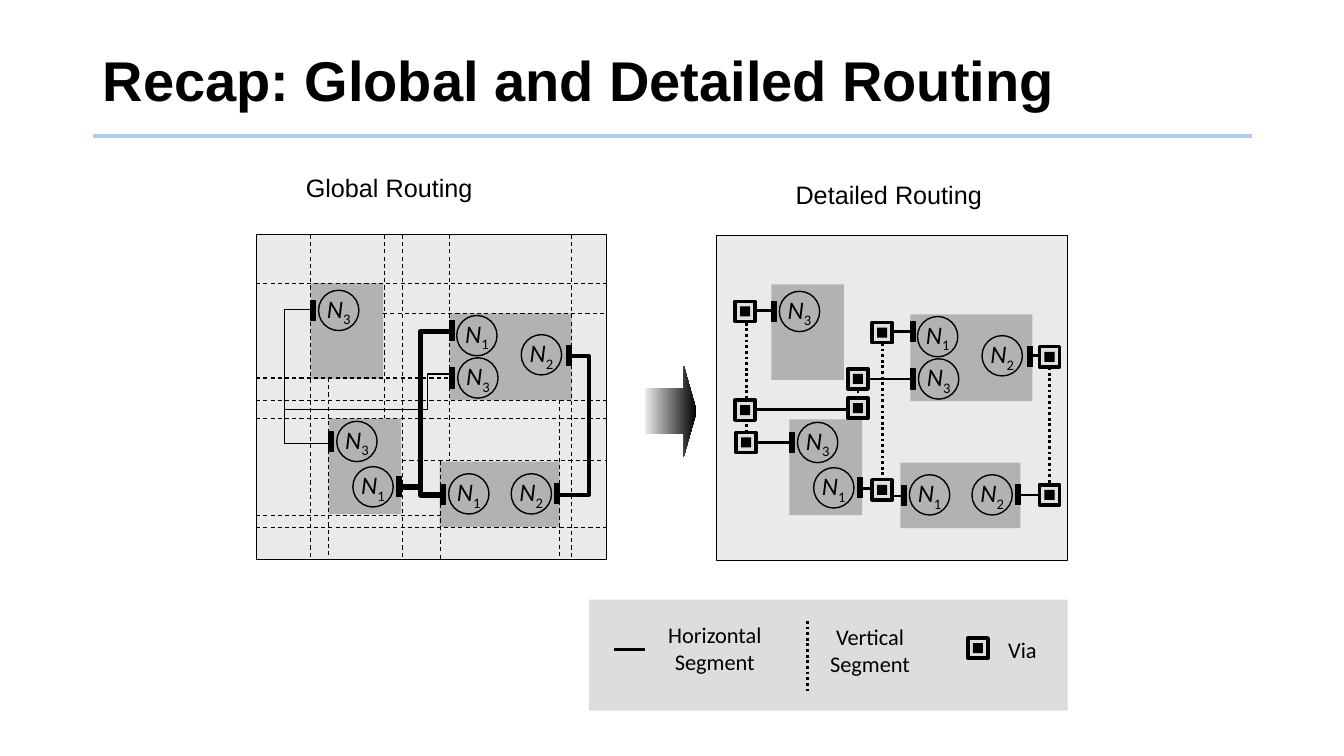
from lxml import etree
from pptx import Presentation
from pptx.dml.color import RGBColor
from pptx.enum.dml import MSO_LINE
from pptx.enum.shapes import MSO_CONNECTOR, MSO_SHAPE
from pptx.enum.text import MSO_ANCHOR, PP_ALIGN
from pptx.oxml.ns import qn
from pptx.util import Inches, Pt

BLACK = RGBColor(0x00, 0x00, 0x00)
RULE_BLUE = RGBColor(0xAD, 0xCD, 0xEA)
PANEL_GRAY = RGBColor(0xEA, 0xEA, 0xEA)
BLOCK_GRAY = RGBColor(0xB2, 0xB2, 0xB2)
VIA_GRAY = RGBColor(0xDF, 0xDF, 0xDF)
LEGEND_GRAY = RGBColor(0xDD, 0xDD, 0xDD)

RECTANGLE, CIRCLE, ARROW = MSO_SHAPE.RECTANGLE, MSO_SHAPE.OVAL, MSO_SHAPE.RIGHT_ARROW
STRAIGHT = MSO_CONNECTOR.STRAIGHT
DASH, DOTS = MSO_LINE.DASH, MSO_LINE.ROUND_DOT
LEFT, CENTER = PP_ALIGN.LEFT, PP_ALIGN.CENTER
TOP, MIDDLE = MSO_ANCHOR.TOP, MSO_ANCHOR.MIDDLE

PANEL_LEFT, PANEL_TOP, PANEL_WIDTH, PANEL_HEIGHT = 2.54, 2.33, 3.48, 3.22
PANEL_RIGHT, PANEL_BOTTOM = PANEL_LEFT + PANEL_WIDTH, PANEL_TOP + PANEL_HEIGHT
DETAILED_OFFSET = (4.57, 0.01)
BLOCKS = [(3.08, 2.81, 0.72, 0.95), (3.26, 4.15, 0.72, 0.95),
          (4.46, 3.11, 1.21, 0.86), (4.36, 4.58, 1.19, 0.65)]
PINS = [(3.08, 2.98), (3.26, 4.28), (3.93, 4.73), (4.46, 3.65),
        (4.46, 3.18), (5.62, 3.43), (5.5, 4.8), (4.37, 4.81)]
NETS = [("3", 3.16, 2.88), ("3", 3.34, 4.18), ("1", 3.5, 4.63), ("2", 5.07, 4.7),
        ("1", 4.45, 4.7), ("3", 4.54, 3.55), ("1", 4.53, 3.13), ("2", 5.17, 3.32)]
HORIZONTAL_CUTS = [(2.81, PANEL_LEFT, PANEL_RIGHT), (3.11, 3.8, PANEL_RIGHT),
                   (3.75, PANEL_LEFT, 4.46), (3.97, PANEL_LEFT, PANEL_RIGHT),
                   (4.15, PANEL_LEFT, PANEL_RIGHT), (4.57, 3.99, PANEL_RIGHT),
                   (5.11, PANEL_LEFT, 4.37), (5.23, PANEL_LEFT, PANEL_RIGHT)]
VERTICAL_CUTS = [(3.08, PANEL_TOP, PANEL_BOTTOM), (3.26, 3.75, PANEL_BOTTOM),
                 (3.81, PANEL_TOP, 4.15), (3.99, PANEL_TOP, PANEL_BOTTOM),
                 (4.37, 4.57, PANEL_BOTTOM), (4.46, PANEL_TOP, 4.57),
                 (5.55, 3.97, PANEL_BOTTOM), (5.67, PANEL_TOP, PANEL_BOTTOM)]
GLOBAL_ROUTES = [
    (1, [(3.1, 3.07), (2.82, 3.07), (2.82, 4.4), (3.28, 4.4)]),
    (4, [(3.96, 4.83), (4.17, 4.83), (4.17, 3.29), (4.49, 3.29)]),
    (4, [(4.17, 4.83), (4.17, 4.91), (4.39, 4.91)]),
    (1, [(4.46, 3.71), (4.24, 3.71), (4.24, 4.06), (2.82, 4.06)]),
    (2.5, [(5.53, 4.91), (5.84, 4.91), (5.84, 3.53), (5.64, 3.53)])]
HORIZONTAL_SEGMENTS = [(3.08, 7.39, 7.67), (4.39, 7.4, 7.86), (4.06, 7.39, 8.51),
                       (3.76, 8.49, 9.07), (4.85, 8.52, 8.74), (3.29, 8.75, 9.05),
                       (3.53, 10.21, 10.4), (4.91, 10.09, 10.38)]
VERTICAL_SEGMENTS = [(7.4, 3.09, 4.42), (8.51, 3.76, 4.06),
                     (8.75, 3.29, 4.86), (10.41, 3.53, 4.91)]
VIAS = [(7.29, 2.99), (7.3, 4.29), (7.29, 3.97), (8.41, 3.95), (8.41, 3.66),
        (8.65, 4.76), (8.65, 3.2), (10.31, 4.81), (10.31, 3.44)]


def style_shape(shape, fill, line_width):
    """Set fill and black outline, either of which may be None."""
    shape.shadow.inherit = False
    if fill is None:
        shape.fill.background()
    else:
        shape.fill.solid()
        shape.fill.fore_color.rgb = fill
    if line_width is None:
        shape.line.fill.background()
    else:
        shape.line.color.rgb = BLACK
        shape.line.width = Pt(line_width)


def add_box(page, kind, place, fill=None, line_width=None):
    """Add a preset shape at (left, top, width, height)."""
    shape = page.shapes.add_shape(kind, *map(Inches, place))
    style_shape(shape, fill, line_width)
    return shape


def add_line(page, start, end, width, dash=None, color=BLACK):
    """Add a straight line."""
    line = page.shapes.add_connector(STRAIGHT, *map(Inches, start + end))
    line.line.color.rgb = color
    line.line.width = Pt(width)
    if dash is not None:
        line.line.dash_style = dash
    etree.SubElement(line._element.spPr, qn("a:effectLst"))


def add_lines(page, rows, columns, width, row_dash, column_dash):
    """Add horizontal lines from (y, x1, x2) and vertical ones from (x, y1, y2)."""
    for y, start, end in rows:
        add_line(page, (start, y), (end, y), width, row_dash)
    for x, start, end in columns:
        add_line(page, (x, start), (x, end), width, column_dash)


def add_route(page, points, width):
    """Add an open bent wire."""
    corners = [(Inches(x), Inches(y)) for x, y in points]
    builder = page.shapes.build_freeform(*corners[0])
    builder.add_line_segments(corners[1:], close=False)
    style_shape(builder.convert_to_shape(), None, width)


def add_span(para, text, size, font, bold=False, italic=False):
    """Add one formatted run and return it."""
    span = para.add_run()
    span.text = text
    span.font.size, span.font.name = Pt(size), font
    span.font.bold, span.font.italic = bold, italic
    span.font.color.rgb = BLACK
    return span


def add_text_box(page, place, align=CENTER, anchor=TOP, wrap=True):
    """Add a text box and return its first paragraph."""
    frame = page.shapes.add_textbox(*map(Inches, place)).text_frame
    frame.word_wrap = wrap
    frame.vertical_anchor = anchor
    para = frame.paragraphs[0]
    para.alignment = align
    return para


def add_legend_label(page, place, lines):
    """Add a legend label with one line per entry."""
    para = add_text_box(page, place, wrap=False)
    for index, text in enumerate(lines):
        if index:
            para.add_line_break()
        add_span(para, text, 16, "Calibri")


def add_net(page, number, left, top):
    """Add a circled net name with a subscript number."""
    para = add_text_box(page, (left - 0.05, top - 0.02, 0.5, 0.4))
    add_span(para, "N", 18, "Calibri", italic=True)
    subscript = add_span(para, number, 18, "Calibri")
    subscript.font._element.set("baseline", "-25000")
    add_box(page, CIRCLE, (left, top, 0.4, 0.4), None, 1)


def add_via(page, left, top):
    """Add a via as a framed square with a black core."""
    add_box(page, RECTANGLE, (left, top, 0.2, 0.2), VIA_GRAY, 2.5)
    add_box(page, RECTANGLE, (left + 0.05, top + 0.05, 0.1, 0.1), BLACK)


def add_panel(page, dx=0, dy=0):
    """Add the chip area with its blocks."""
    add_box(page, RECTANGLE, (PANEL_LEFT + dx, PANEL_TOP + dy, PANEL_WIDTH, PANEL_HEIGHT),
            PANEL_GRAY, 0.75)
    for left, top, width, height in BLOCKS:
        add_box(page, RECTANGLE, (left + dx, top + dy, width, height), BLOCK_GRAY)


def add_terminals(page, dx=0, dy=0):
    """Add the pins and net names of a chip."""
    for left, top in PINS:
        add_box(page, RECTANGLE, (left + dx, top + dy, 0.05, 0.2), BLACK, 0.75)
    for number, left, top in NETS:
        add_net(page, number, left + dx, top + dy)


def add_arrow(page):
    """Add the shaded arrow between the chips."""
    arrow = add_box(page, ARROW, (6.4, 3.63, 0.51, 0.9))
    arrow.adjustments[0], arrow.adjustments[1] = 0.5, 0.25
    arrow.fill.gradient()
    arrow.fill.gradient_angle = 0
    for stop, position, color in zip(arrow.fill.gradient_stops, (0, 1), (PANEL_GRAY, BLACK)):
        stop.position = position
        stop.color.rgb = color


def add_legend(page):
    """Add the key to segments and vias."""
    add_box(page, RECTANGLE, (5.84, 5.95, 4.75, 1.1), LEGEND_GRAY)
    add_lines(page, [(6.44, 6.09, 6.4)], [(8.01, 6.16, 6.87)], 2, None, DOTS)
    add_via(page, 9.6, 6.33)
    add_legend_label(page, (6.49, 6.11, 1.2, 0.64), ["Horizontal", "Segment"])
    add_legend_label(page, (7.93, 6.13, 1.4, 0.64), ["Vertical", "Segment"])
    add_legend_label(page, (9.88, 6.26, 0.52, 0.37), ["Via"])


def main():
    """Build and save the slide."""
    deck = Presentation()
    deck.slide_width, deck.slide_height = Inches(13.33), Inches(7.5)
    page = deck.slides.add_slide(deck.slide_layouts[6])
    add_line(page, (0.92, 1.35), (12.42, 1.35), 3, color=RULE_BLUE)
    title = add_text_box(page, (0.92, 0.28, 11.5, 1.1), LEFT, MIDDLE)
    title.line_spacing = 0.9
    add_span(title, "Recap: Global and Detailed Routing", 40, "Arial", bold=True)
    for text, place in (("Global Routing", (2.56, 1.66, 2.6, 0.39)),
                        ("Detailed Routing", (7.78, 1.73, 2.07, 0.4))):
        add_span(add_text_box(page, place, wrap=False), text, 18, "Arial")

    add_panel(page)
    add_lines(page, HORIZONTAL_CUTS, VERTICAL_CUTS, 0.75, DASH, DASH)
    add_terminals(page)
    for width, points in GLOBAL_ROUTES:
        add_route(page, points, width)

    add_arrow(page)
    add_panel(page, *DETAILED_OFFSET)
    add_terminals(page, *DETAILED_OFFSET)
    add_route(page, [(8.74, 4.84), (8.74, 4.92), (8.96, 4.92)], 2)
    add_lines(page, HORIZONTAL_SEGMENTS, VERTICAL_SEGMENTS, 2, None, DOTS)
    for left, top in VIAS:
        add_via(page, left, top)
    add_legend(page)
    deck.save("out.pptx")


if __name__ == "__main__":
    main()
